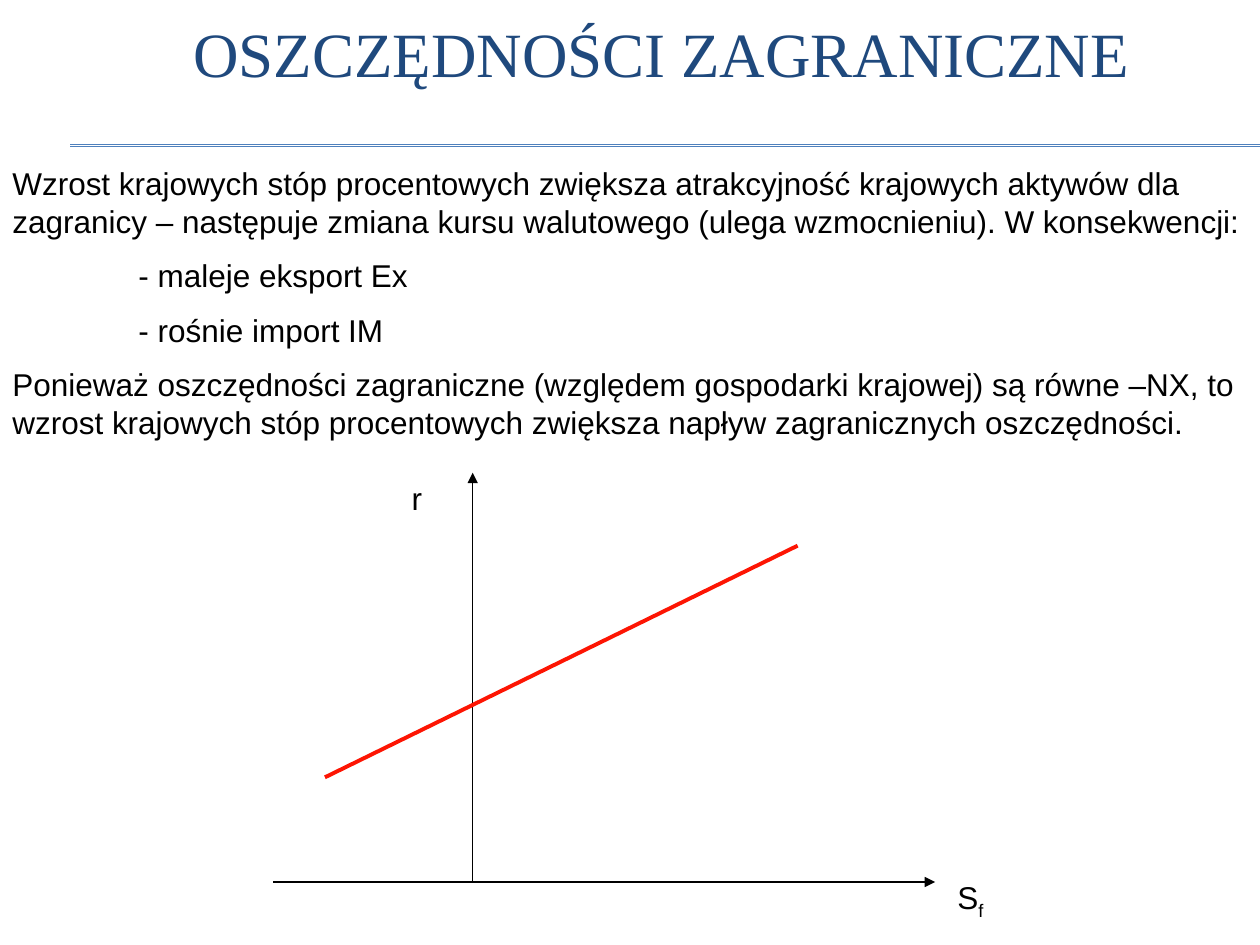
from dataclasses import dataclass

from lxml import etree
from pptx import Presentation
from pptx import util as u
from pptx.dml.color import RGBColor
from pptx.enum import shapes, text
from pptx.oxml.ns import qn


@dataclass(frozen=True)
class Theme:
    title_format = {"name": "Times New Roman", "size": u.Pt(36)}
    body_format = {"name": "Arial", "size": u.Pt(18)}
    title_color = RGBColor.from_string("1F497D")
    ink = RGBColor.from_string("000000")
    rule = RGBColor.from_string("4F81BD")
    curve = RGBColor.from_string("FD1503")
    thin = u.Pt(0.75)
    thick = u.Pt(2.25)
    gap = u.Pt(9.5)
    indent = u.Cm(2.54)


THEME = Theme()

BODY = [
    ("Wzrost krajowych stóp procentowych zwiększa atrakcyjność krajowych aktywów "
     "dla zagranicy – następuje zmiana kursu walutowego (ulega wzmocnieniu). "
     "W konsekwencji:", False),
    ("- maleje eksport Ex", True),
    ("- rośnie import IM", True),
    ("Ponieważ oszczędności zagraniczne (względem gospodarki krajowej) są równe –NX, "
     "to wzrost krajowych stóp procentowych zwiększa napływ zagranicznych "
     "oszczędności.", False),
]


def add_box(page, left, top, width, height, anchor=text.MSO_ANCHOR.TOP):
    """Add a wrapping text box, in centimetres, and return its text frame."""
    box = page.shapes.add_textbox(u.Cm(left), u.Cm(top), u.Cm(width), u.Cm(height))
    frame = box.text_frame
    frame.word_wrap = True
    frame.vertical_anchor = anchor
    return frame


def add_span(para, words, font_format=THEME.body_format, color=THEME.ink):
    span = para.add_run()
    span.text = words
    for name, value in font_format.items():
        setattr(span.font, name, value)
    span.font.color.rgb = color
    return span


def add_title(page, words):
    frame = add_box(page, 2.54, 0, 21.59, 2.11, text.MSO_ANCHOR.MIDDLE)
    para = frame.paragraphs[0]
    para.alignment = text.PP_ALIGN.CENTER
    add_span(para, words, THEME.title_format, THEME.title_color)


def add_body(page, items):
    frame = add_box(page, 0, 3.18, 25.4, 5.99)
    for index, (words, indented) in enumerate(items):
        para = frame.add_paragraph() if index else frame.paragraphs[0]
        if index:
            para.space_before = THEME.gap
        if indented:
            para._p.get_or_add_pPr().set("marL", str(THEME.indent))
        add_span(para, words)


def add_axis_label(page, left, top, width, symbol, subscript=""):
    para = add_box(page, left, top, width, 1.02).paragraphs[0]
    add_span(para, symbol)
    if subscript:
        span = add_span(para, subscript)
        span._r.get_or_add_rPr().set("baseline", "-25000")


def add_line(page, start, end, color, width, arrow=False):
    """Draw a straight line between two points in centimetres."""
    line = page.shapes.add_connector(
        shapes.MSO_CONNECTOR.STRAIGHT, *(u.Cm(value) for value in (*start, *end)))
    line.line.color.rgb = color
    line.line.width = width
    if arrow:
        etree.SubElement(line.line._get_or_add_ln(), qn("a:tailEnd"), type="triangle")
    etree.SubElement(line._element.spPr, qn("a:effectLst"))


def add_savings_graph(page):
    origin_x, origin_y = 9.53, 17.78
    add_line(page, (origin_x, origin_y), (origin_x, 9.53), THEME.ink, THEME.thin, True)
    add_line(page, (5.51, origin_y), (18.85, origin_y), THEME.ink, THEME.thin, True)
    add_axis_label(page, 8.05, 9.53, 1.07, "r")
    add_axis_label(page, 19.05, 17.58, 2.54, "S", "f")
    add_line(page, (6.55, 15.67), (16.08, 11), THEME.curve, THEME.thick)


def main():
    deck = Presentation()
    deck.slide_width, deck.slide_height = u.Cm(25.4), u.Cm(19.05)
    page = deck.slides.add_slide(deck.slide_layouts[6])
    for height in (2.92, 2.95):
        add_line(page, (1.42, height), (25.4, height), THEME.rule, THEME.thin)
    add_title(page, "OSZCZĘDNOŚCI ZAGRANICZNE")
    add_body(page, BODY)
    add_savings_graph(page)
    deck.save("out.pptx")


if __name__ == "__main__":
    main()
